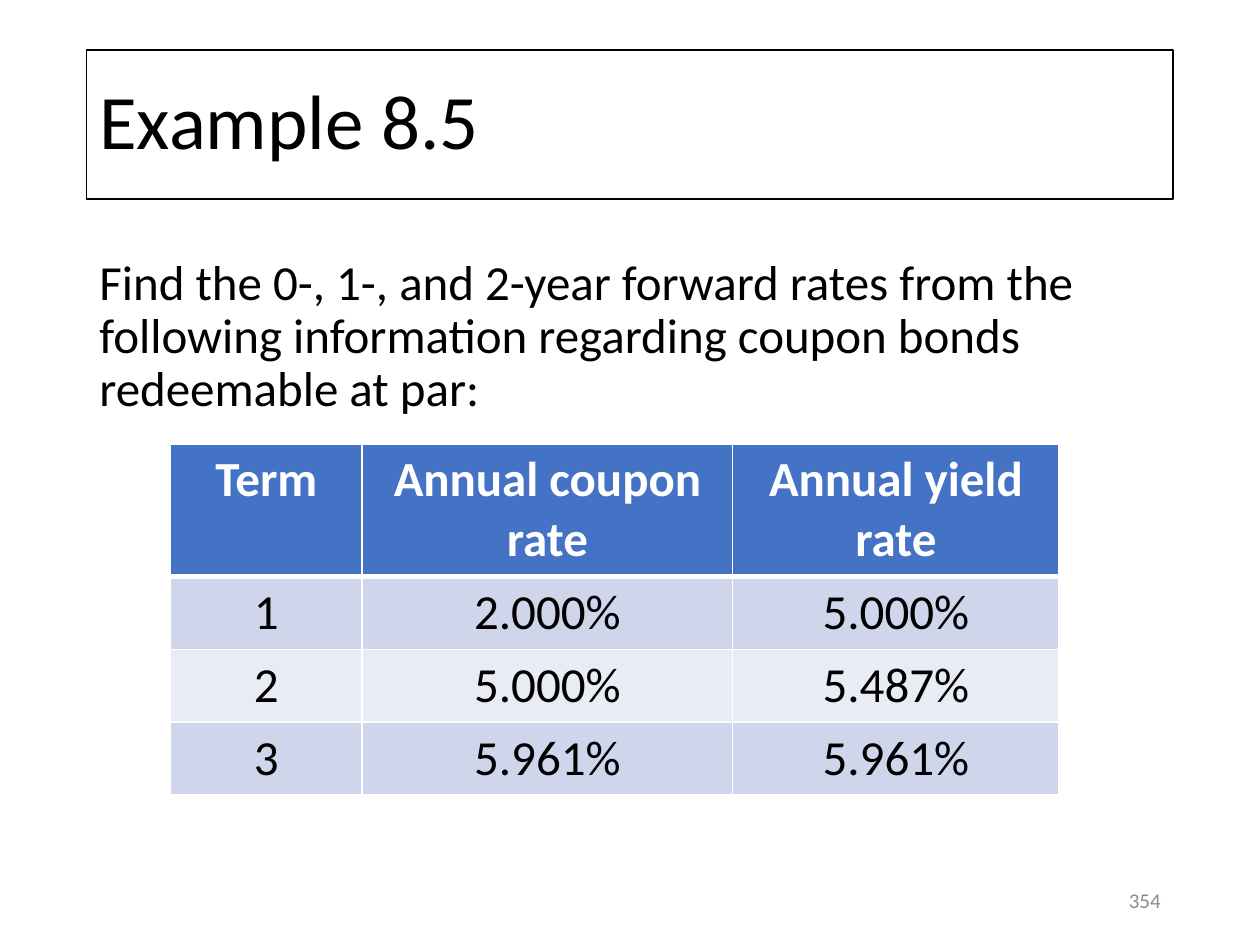
from lxml import etree
from pptx import Presentation
from pptx.dml.color import RGBColor
from pptx.enum.text import MSO_ANCHOR, MSO_AUTO_SIZE, PP_ALIGN
from pptx.oxml.ns import qn
from pptx.util import Cm, Pt

LEFT, CENTER, RIGHT = PP_ALIGN.LEFT, PP_ALIGN.CENTER, PP_ALIGN.RIGHT
TOP, MIDDLE = MSO_ANCHOR.TOP, MSO_ANCHOR.MIDDLE
NO_FIT = MSO_AUTO_SIZE.NONE

BLACK = RGBColor(0x00, 0x00, 0x00)
WHITE = RGBColor(0xFF, 0xFF, 0xFF)
GRAY = RGBColor(0x8C, 0x8C, 0x8C)
HEADER_BLUE = RGBColor(0x44, 0x72, 0xC4)
BANDS = (RGBColor(0xCF, 0xD5, 0xEA), RGBColor(0xE9, 0xEB, 0xF5))

FONT = "Calibri"
MARGIN, CONTENT_WIDTH = 1.75, 21.9
COLUMN_WIDTHS = (3.86, 7.47, 6.58)
HEADER_HEIGHT, ROW_HEIGHT = 2.64, 1.47

BOND_ROWS = (
    ("Term", "Annual coupon rate", "Annual yield rate"),
    ("1", "2.000%", "5.000%"),
    ("2", "5.000%", "5.487%"),
    ("3", "5.961%", "5.961%"),
)


def place(box, left, top, width, height):
    box.left, box.top = Cm(left), Cm(top)
    box.width, box.height = Cm(width), Cm(height)


def write(frame, text, size, color=BLACK, align=LEFT, bold=False):
    para = frame.paragraphs[0]
    para.alignment = align
    span = para.add_run()
    span.text = text
    span.font.name = FONT
    span.font.size = Pt(size)
    span.font.bold = bold
    span.font.color.rgb = color
    return para


def prepare_frame(box, anchor):
    frame = box.text_frame
    frame.word_wrap = True
    frame.auto_size = NO_FIT
    frame.vertical_anchor = anchor
    return frame


def add_title(page, text):
    title = page.shapes.title
    place(title, MARGIN, 1.01, CONTENT_WIDTH, 3)
    title.line.color.rgb = BLACK
    title.line.width = Pt(0.75)
    para = write(prepare_frame(title, MIDDLE), text, 44)
    para.line_spacing = 0.9


def add_question(page, text):
    body = page.placeholders[1]
    place(body, MARGIN, 5.07, CONTENT_WIDTH, 12.57)
    para = write(prepare_frame(body, TOP), text, 28)
    para.line_spacing = 0.9
    para.space_before = Pt(0)
    # Plain paragraph: no bullet and no hanging indent
    properties = para._p.get_or_add_pPr()
    properties.set("marL", "0")
    properties.set("indent", "0")
    etree.SubElement(properties, qn("a:buNone"))


def set_borders(cell, bottom_width, top_width):
    properties = cell._tc.get_or_add_tcPr()
    widths = {"lnL": 1, "lnR": 1, "lnT": top_width, "lnB": bottom_width}
    for side, width in widths.items():
        line = etree.SubElement(properties, qn(f"a:{side}"), w=str(Pt(width)))
        fill = etree.SubElement(line, qn("a:solidFill"))
        etree.SubElement(fill, qn("a:srgbClr"), val=str(WHITE))


def add_bond_table(page):
    height = HEADER_HEIGHT + ROW_HEIGHT * (len(BOND_ROWS) - 1)
    table = page.shapes.add_table(
        len(BOND_ROWS), len(COLUMN_WIDTHS),
        Cm(3.44), Cm(8.95), Cm(sum(COLUMN_WIDTHS)), Cm(height)).table
    for column, width in zip(table.columns, COLUMN_WIDTHS):
        column.width = Cm(width)
    for i, values in enumerate(BOND_ROWS):
        header = i == 0
        table.rows[i].height = Cm(HEADER_HEIGHT if header else ROW_HEIGHT)
        for j, value in enumerate(values):
            cell = table.cell(i, j)
            # A thick rule separates the header from the first row
            set_borders(cell, 3 if header else 1, 3 if i == 1 else 1)
            cell.fill.solid()
            cell.fill.fore_color.rgb = HEADER_BLUE if header else BANDS[(i - 1) % 2]
            write(cell.text_frame, value, 28, WHITE if header else BLACK,
                  CENTER, header)


def add_page_number(page, number):
    box = page.shapes.add_textbox(Cm(17.94), Cm(17.65), Cm(5.71), Cm(1.01))
    write(prepare_frame(box, MIDDLE), number, 12, GRAY, RIGHT)


def main():
    deck = Presentation()
    deck.slide_width, deck.slide_height = Cm(25.4), Cm(19.05)
    page = deck.slides.add_slide(deck.slide_layouts[1])
    add_title(page, "Example 8.5")
    add_page_number(page, "354")
    add_question(page, "Find the 0-, 1-, and 2-year forward rates from the "
                       "following information regarding coupon bonds "
                       "redeemable at par:")
    add_bond_table(page)
    deck.save("out.pptx")


if __name__ == "__main__":
    main()
